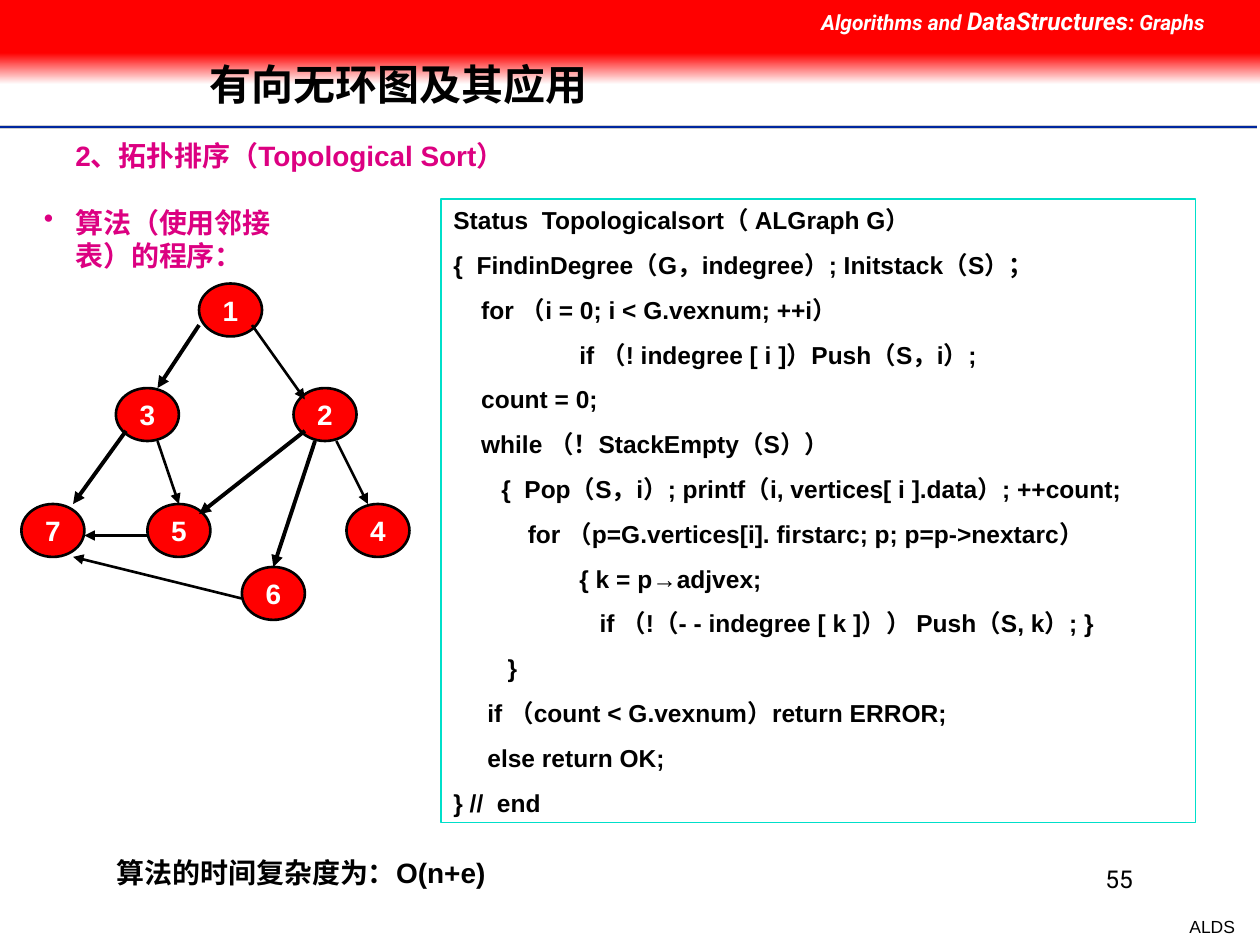
import pptx
import pptx.util
import pptx.dml.color
import pptx.enum.shapes
import pptx.enum.text
import pptx.oxml
import pptx.oxml.ns

Inches = pptx.util.Inches
Pt = pptx.util.Pt
SHAPE = pptx.enum.shapes.MSO_SHAPE
ALIGN = pptx.enum.text.PP_ALIGN
ANCHOR = pptx.enum.text.MSO_ANCHOR

COLORS = {
    "red": "FF0000",
    "white": "FFFFFF",
    "black": "000000",
    "magenta": "DC0081",
    "teal": "00DFCA",
    "blue": "00279F",
    "gray": "CECECE",
}


def rgb(name):
    return pptx.dml.color.RGBColor.from_string(COLORS[name])


def add_xml(parent, tag, **attrs):
    el = pptx.oxml.parse_xml("<%s %s/>" % (tag, pptx.oxml.ns.nsdecls("a")))
    for key, value in attrs.items():
        el.set(key, value)
    parent.append(el)
    return el


class SlideBuilder:
    font = "Arial"

    def __init__(self, prs):
        self.s = prs.slides.add_slide(prs.slide_layouts[5])

    def style(self, p, size, color="black", bold=True, font=None, before=0,
              align=ALIGN.LEFT):
        p.alignment = align
        p.space_before = Pt(before)
        p.font.size = Pt(size)
        p.font.bold = bold
        p.font.name = font or self.font
        p.font.color.rgb = rgb(color)

    def title(self, box, text, size):
        sp = self.s.shapes.title
        sp.left, sp.top, sp.width, sp.height = map(Inches, box)
        tf = sp.text_frame
        tf.auto_size = pptx.enum.text.MSO_AUTO_SIZE.NONE
        tf.vertical_anchor = ANCHOR.MIDDLE
        tf.text = text
        self.style(tf.paragraphs[0], size)
        tf.paragraphs[0].line_spacing = 0.9
        self.s.shapes._spTree.append(sp._element)

    def text(self, box, runs, size, wrap=True, indent=0, bullet=None, **style):
        sp = self.s.shapes.add_textbox(*map(Inches, box))
        tf = sp.text_frame
        tf.word_wrap = wrap
        p = tf.paragraphs[0]
        self.style(p, size, **style)
        for text, run_size in runs:
            r = p.add_run()
            r.text = text
            if run_size:
                r.font.size = Pt(run_size)
        pPr = p._p.get_or_add_pPr()
        pPr.set("marL", str(Inches(indent)))
        if bullet:
            pPr.set("indent", str(Inches(-0.25)))
            bu_color = pptx.oxml.parse_xml(
                '<a:buClr %s><a:srgbClr val="%s"/></a:buClr>'
                % (pptx.oxml.ns.nsdecls("a"), COLORS[style["color"]]))
            pPr.insert_element_before(bu_color, "a:tabLst", "a:defRPr")
            bu_char = add_xml(pPr, "a:buChar", char=bullet)
            bu_color.addnext(bu_char)

    def shape(self, kind, box, fill, line=None, width=0):
        sp = self.s.shapes.add_shape(kind, *map(Inches, box))
        sp.shadow.inherit = False
        sp.fill.solid()
        sp.fill.fore_color.rgb = rgb(fill)
        if line:
            sp.line.color.rgb = rgb(line)
            sp.line.width = Pt(width)
        else:
            sp.line.fill.background()
        return sp

    def fade(self, box, top, bottom):
        sp = self.shape(SHAPE.RECTANGLE, box, top)
        sp.fill.gradient()
        sp.fill.gradient_angle = 270
        for stop, position, color in zip(sp.fill.gradient_stops, (0, 1), (top, bottom)):
            stop.position = position
            stop.color.rgb = rgb(color)

    def line(self, start, end, width, color="black", arrow=False):
        cx = self.s.shapes.add_connector(
            pptx.enum.shapes.MSO_CONNECTOR.STRAIGHT, *map(Inches, start + end))
        cx.line.color.rgb = rgb(color)
        cx.line.width = Pt(width)
        if arrow:
            add_xml(cx.line._get_or_add_ln(), "a:tailEnd", type="triangle")
        add_xml(cx._element.spPr, "a:effectLst")

    def node(self, label, left, top):
        sp = self.shape(SHAPE.OVAL, (left, top, 0.5, 0.42), "red", "black", 1.5)
        tf = sp.text_frame
        tf.word_wrap = False
        tf.vertical_anchor = ANCHOR.MIDDLE
        tf.text = label
        self.style(tf.paragraphs[0], 16, "white", align=ALIGN.CENTER)

    def code(self, box, lines):
        sp = self.shape(SHAPE.RECTANGLE, box, "white", "teal", 0.75)
        tf = sp.text_frame
        tf.word_wrap = True
        tf.vertical_anchor = ANCHOR.TOP
        for i, (indent, text) in enumerate(lines):
            p = tf.add_paragraph() if i else tf.paragraphs[0]
            p.text = text
            self.style(p, 14, before=8.8)
            p._p.get_or_add_pPr().set("marL", str(Inches(indent)))


NODES = {
    "1": (1.58, 2.25),
    "3": (0.92, 3.08),
    "2": (2.33, 3.08),
    "7": (0.17, 4),
    "5": (1.17, 4),
    "4": (2.75, 4),
    "6": (1.92, 4.5),
}
THIN, THICK = 1.5, 2.25
EDGES = [
    ((1.58, 2.58), (1.25, 3.08), THICK),
    ((1, 3.42), (0.58, 4), THICK),
    ((2, 2.58), (2.42, 3.17), THIN),
    ((1.25, 3.5), (1.42, 4), THIN),
    ((2.5, 3.5), (2.17, 4.5), THICK),
    ((2.67, 3.5), (2.92, 4), THIN),
    ((2.42, 3.42), (1.58, 4.08), THICK),
    ((1.17, 4.25), (0.67, 4.25), THIN),
    ((1.92, 4.75), (0.58, 4.42), THIN),
]
CODE = [
    (0, "Status  Topologicalsort（ ALGraph G）"),
    (0, "{  FindinDegree（G，indegree）; Initstack（S）；"),
    (0.22, "for （i = 0; i < G.vexnum; ++i）"),
    (1, "if （! indegree [ i ]）Push（S，i）;"),
    (0.22, "count = 0;"),
    (0.22, "while （！StackEmpty（S））"),
    (0.38, "{  Pop（S，i）; printf（i, vertices[ i ].data）; ++count;"),
    (0.59, "for （p=G.vertices[i]. firstarc; p; p=p->nextarc）"),
    (1, "{ k = p→adjvex;"),
    (1.16, "if （!（- - indegree [ k ]）） Push（S, k）; }"),
    (0.43, "}"),
    (0.27, "if （count < G.vexnum）return ERROR;"),
    (0.27, "else return OK;"),
    (0, "} //  end"),
]


def main():
    prs = pptx.Presentation()
    prs.slide_width, prs.slide_height = Inches(10), Inches(7.5)
    b = SlideBuilder(prs)

    for y, color, width in ((1.01, "gray", 2), (1.01, "blue", 1), (1.03, "white", 1)):
        b.line((0, y), (9.98, y), width, color)
    b.text((9.34, 7.22, 0.56, 0.27), [("ALDS", None)], 10, wrap=False,
           bold=False, before=6.2, align=ALIGN.RIGHT)
    b.text((7.17, 6.81, 1.92, 0.5), [("55", None)], 14, bold=False,
           font="Roboto", align=ALIGN.RIGHT)
    b.fade((0, 0.42, 10, 0.25), "red", "white")
    b.shape(SHAPE.RECTANGLE, (0, 0, 10, 0.42), "red")
    b.text((6.42, 0, 3.58, 0.34),
           [("Algorithms and ", None), ("DataStructures", 14), (": Graphs", None)],
           12, color="white", font="Roboto", before=7.5)
    b.s.shapes[-1].text_frame.paragraphs[0].font.italic = True

    b.title((1.56, 0.32, 7.55, 0.74), "有向无环图及其应用", 24)
    b.text((0, 1.05, 4.83, 0.37), [("2、拓扑排序（Topological Sort）", None)], 16,
           indent=0.5, color="magenta", before=10)
    b.text((0, 1.58, 2.5, 0.64), [("算法（使用邻接表）的程序：", None)], 16,
           indent=0.5, bullet="•", color="magenta", before=10)

    for label, (left, top) in NODES.items():
        b.node(label, left, top)
    for start, end, width in EDGES:
        b.line(start, end, width, arrow=True)

    b.code((3.5, 1.58, 5.99, 4.95), CODE)
    b.text((0.83, 6.74, 7.8, 0.37), [("算法的时间复杂度为：O(n+e)", None)], 16, before=10)
    prs.save("out.pptx")


if __name__ == "__main__":
    main()
